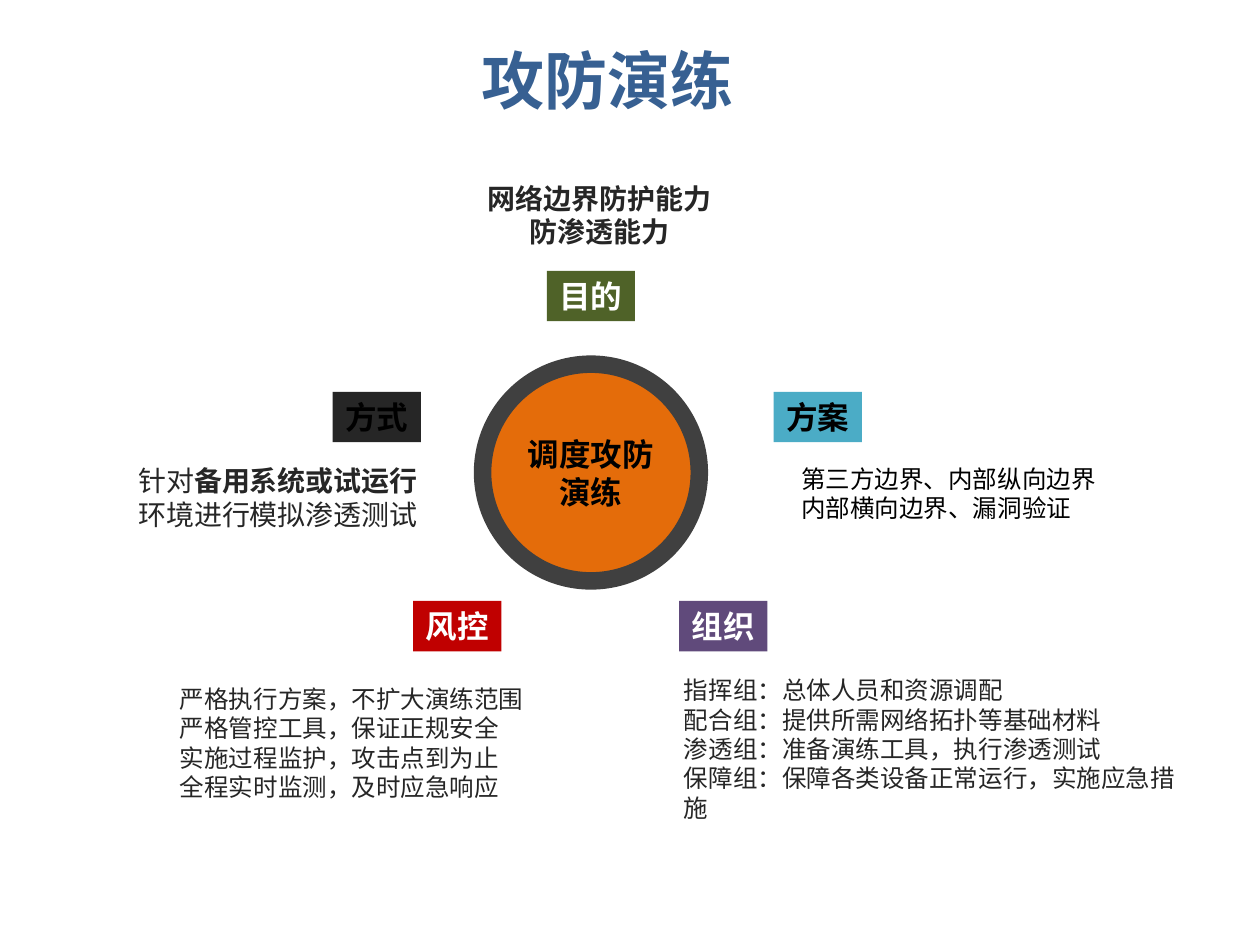
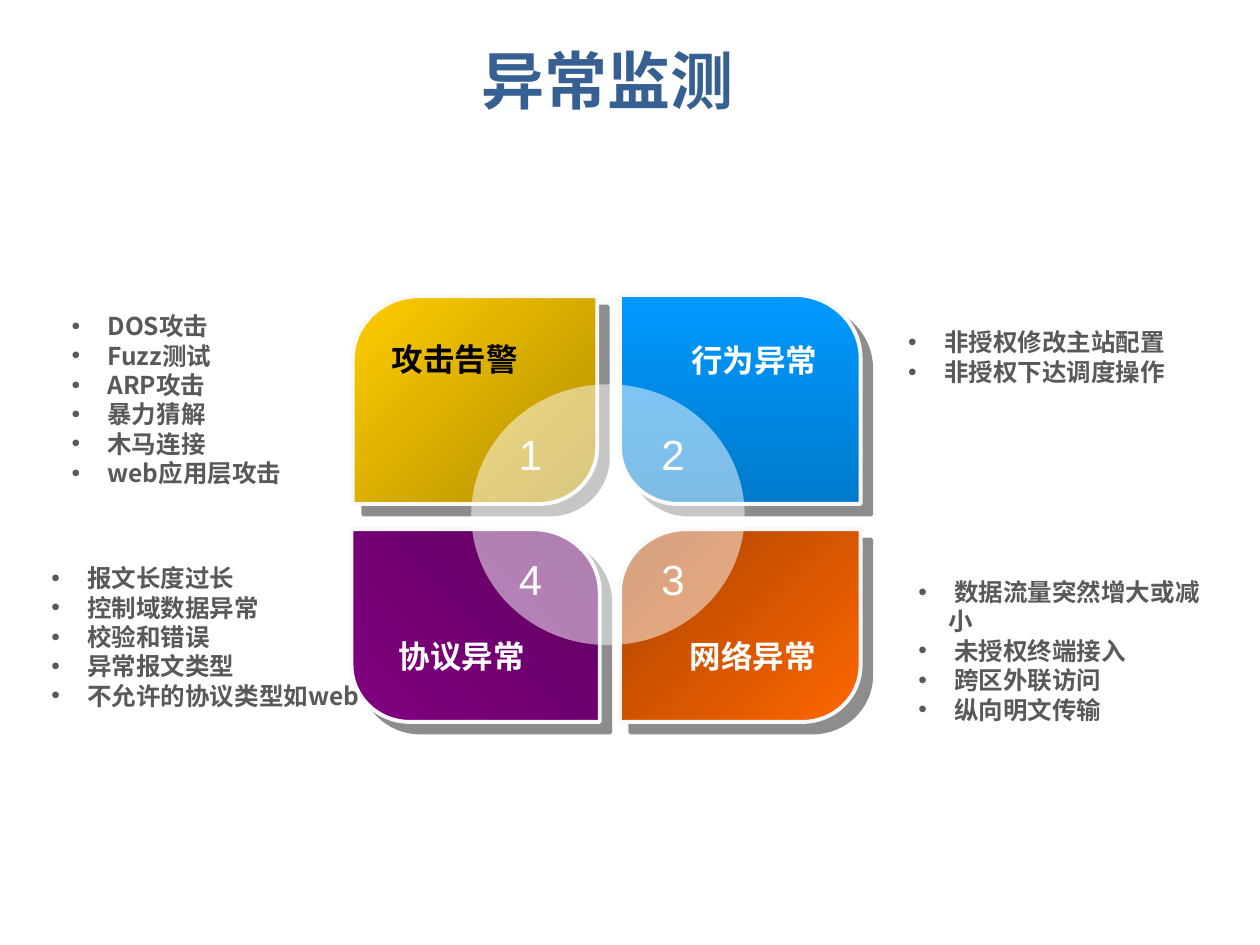
from itertools import product

from lxml import etree
from pptx import Presentation
from pptx import util as u
from pptx.dml.color import RGBColor
from pptx.enum import shapes, text
from pptx.oxml.ns import qn

PX = 9144  # 100 px to the inch
SANS, CALIBRI, ARIAL = "Noto Sans CJK SC", "Calibri", "Arial"
LEFT, CENTER = text.PP_ALIGN.LEFT, text.PP_ALIGN.CENTER

TITLE_BLUE = RGBColor(0x37, 0x60, 0x92)
BLACK = RGBColor(0, 0, 0)
WHITE = RGBColor(0xFF, 0xFF, 0xFF)
INK = RGBColor(0x26, 0x26, 0x26)
GREY = RGBColor(0x59, 0x59, 0x59)
RING = RGBColor(0x40, 0x40, 0x40)
ORANGE = RGBColor(0xE4, 0x6C, 0x0A)
GREEN = RGBColor(0x4F, 0x62, 0x28)
TEAL = RGBColor(0x4B, 0xAC, 0xC6)
RED = RGBColor(0xC0, 0, 0)
PURPLE = RGBColor(0x60, 0x4A, 0x7B)
EDGE = RGBColor(0xF8, 0xF8, 0xF8)
HALO = RGBColor(0xFE, 0xFF, 0xFF)
GOLD_DARK, GOLD = RGBColor(0xB2, 0x8E, 0), RGBColor(0xFF, 0xCC, 0)
SKY, SKY_DARK = RGBColor(0, 0x99, 0xFF), RGBColor(0, 0x7A, 0xCC)
PLUM, PLUM_DARK = RGBColor(0x80, 0, 0x80), RGBColor(0x61, 0, 0x61)
FLAME, FLAME_DARK = RGBColor(0xFF, 0x66, 0), RGBColor(0xA9, 0x44, 0)


def emu(box):
    return [round(length * PX) for length in box]


def shift(origin, box):
    """Move a box given relative to origin onto the page."""
    return (origin[0] + box[0], origin[1] + box[1], *box[2:])


def add_child(parent, tag, **attributes):
    return etree.SubElement(parent, qn(tag), attributes)


def add_bullet(props):
    props.set("marL", str(24 * PX))
    props.set("indent", str(-24 * PX))
    add_child(add_child(props, "a:buClr"), "a:srgbClr", val=str(GREY))
    add_child(props, "a:buFont", typeface=ARIAL)
    add_child(props, "a:buChar", char="•")


def write(shape, lines, size, color, bold=False, font=SANS, align=LEFT,
          wrap=True, middle=False, bullets=False):
    """Fill a shape with paragraphs; a line is a string or (text, bold) spans."""
    frame = shape.text_frame
    frame.word_wrap = wrap
    if middle:
        frame.vertical_anchor = text.MSO_ANCHOR.MIDDLE
    else:
        frame.vertical_anchor = text.MSO_ANCHOR.TOP
        frame.auto_size = text.MSO_AUTO_SIZE.SHAPE_TO_FIT_TEXT
    for index, line in enumerate(lines):
        para = frame.paragraphs[0] if index == 0 else frame.add_paragraph()
        spans = [(line, bold)] if isinstance(line, str) else line
        for words, is_bold in spans:
            span = para.add_run()
            span.text = words
            if is_bold != bold:
                span.font.bold = is_bold
        para.alignment = align
        props = para._p.get_or_add_pPr()
        if bullets:
            add_bullet(props)
        para.font.size = u.Pt(size)
        para.font.bold = bold
        para.font.color.rgb = color
        para.font.name = font
        add_child(props.find(qn("a:defRPr")), "a:ea", typeface=SANS)


def add_text(page, box, lines, size, color, **style):
    write(page.shapes.add_textbox(*emu(box)), lines, size, color, **style)


def add_solid(page, kind, box, fill):
    shape = page.shapes.add_shape(kind, *emu(box))
    shape.shadow.inherit = False
    shape.fill.solid()
    shape.fill.fore_color.rgb = fill
    shape.line.fill.background()
    return shape


def add_page(deck, title):
    page = deck.slides.add_slide(deck.slide_layouts[6])
    add_text(page, (125, 23, 714, 80), [title], 36, TITLE_BLUE,
             bold=True, align=CENTER, middle=True)
    return page


def draw_drill_wheel(page, origin):
    hub = add_solid(page, shapes.MSO_SHAPE.OVAL, shift(origin, (283, 150, 172, 172)), ORANGE)
    hub.line.color.rgb = RING
    hub.line.width = u.Pt(10)
    write(hub, ["调度攻防演练"], 18, BLACK, bold=True, align=CENTER, middle=True)

    tags = [
        ("目的", (334, 76), GREEN, WHITE),
        ("方式", (164, 172), INK, BLACK),
        ("方案", (514, 172), TEAL, BLACK),
        ("风控", (228, 338), RED, WHITE),
        ("组织", (439, 338), PURPLE, WHITE),
    ]
    for label, corner, fill, color in tags:
        tag = add_solid(page, shapes.MSO_SHAPE.RECTANGLE,
                        shift(origin, (*corner, 70, 40)), fill)
        write(tag, [label], 18, color, bold=True, wrap=False)

    notes = [
        ((433, 392, 429, 104), 14, INK, {"wrap": False},
         ["指挥组：总体人员和资源调配", "配合组：提供所需网络拓扑等基础材料",
          "渗透组：准备演练工具，执行渗透测试",
          "保障组：保障各类设备正常运行，实施应急措施"]),
        ((33, 399, 336, 104), 14, INK, {},
         ["严格执行方案，不扩大演练范围", "严格管控工具，保证正规安全",
          "实施过程监护，攻击点到为止", "全程实时监测，及时应急响应"]),
        ((0, 224, 243, 64), 16, INK, {},
         [[("针对", False), ("备用系统或试运行", True), ("环境进行模拟渗透测试", False)]]),
        ((258, 0, 236, 64), 16, INK, {"bold": True, "align": CENTER},
         ["网络边界防护能力", "防渗透能力"]),
        ((526, 224, 299, 57), 14, BLACK, {},
         ["第三方边界、内部纵向边界", "内部横向边界、漏洞验证"]),
    ]
    for box, size, color, style, lines in notes:
        add_text(page, shift(origin, box), lines, size, color, **style)


def bend(segment, start, corner, end):
    """Turn a straight path segment into a curve that leans into corner."""
    segment.tag = qn("a:cubicBezTo")
    segment.clear()
    pulls = [[round(p + 0.55 * (c - p)) for p, c in zip(point, corner)]
             for point in (start, end)]
    for x, y in (*pulls, end):
        add_child(segment, "a:pt", x=str(x), y=str(y))


def add_petal(page, box, mirrored, colors, angle):
    """Box rounded at top left and bottom right, or at the other two corners."""
    left, top, width, height = box

    def local(x, y):
        return emu((width - x if mirrored else x, y))

    points = [local(*point) for point in (
        (0, 50), (53, 0), (width, 0), (width, height - 45),
        (width - 46, height), (0, height))]
    builder = page.shapes.build_freeform(*points[0], scale=1.0)
    builder.add_line_segments(points[1:], close=True)
    petal = builder.convert_to_shape(*emu((left, top)))
    segments = list(petal._element.iter(qn("a:lnTo")))
    bend(segments[0], points[0], local(0, 0), points[1])
    bend(segments[3], points[3], local(width, height), points[4])

    petal.fill.gradient()
    petal.fill.gradient_angle = angle
    for stop, color, position in zip(petal.fill.gradient_stops, colors, (0, 1)):
        stop.color.rgb = color
        stop.position = position
    petal.line.color.rgb = EDGE
    petal.line.width = u.Pt(2.25)
    effects = add_child(petal._element.spPr, "a:effectLst")
    shadow = add_child(effects, "a:outerShdw", blurRad="0", dist=str(u.Pt(8.5)),
                       dir="2700000", algn="ctr", rotWithShape="0")
    tint = add_child(shadow, "a:srgbClr", val="1C1C1C")
    add_child(tint, "a:alpha", val="50000")


def draw_anomaly_petals(page, origin):
    petals = [
        ((249, 1, 194, 165), False, (GOLD_DARK, GOLD), 135),
        ((461, 0, 191, 166), True, (SKY, SKY_DARK), 270),
        ((248, 186, 197, 153), True, (PLUM, PLUM_DARK), 45),
        ((461, 186, 191, 153), False, (FLAME, FLAME_DARK), 135),
    ]
    for box, mirrored, colors, angle in petals:
        add_petal(page, shift(origin, box), mirrored, colors, angle)

    halo = add_solid(page, shapes.MSO_SHAPE.OVAL, shift(origin, (343, 71, 217, 207)), HALO)
    add_child(halo._element.spPr.find(qn("a:solidFill"))[0], "a:alpha", val="50000")

    labels = [
        ("协议异常", (249, 267, 173, 40), WHITE, CALIBRI),
        ("网络异常", (477, 267, 179, 40), WHITE, CALIBRI),
        ("行为异常", (461, 32, 213, 40), WHITE, CALIBRI),
        ("攻击告警", (270, 31, 120, 40), BLACK, SANS),
    ]
    for label, box, color, font in labels:
        add_text(page, shift(origin, box), [label], 18, color,
                 bold=True, font=font, align=CENTER)

    for number, (top, left) in zip("1243", product((101, 200), (371, 484))):
        add_text(page, shift(origin, (left, top, 38, 50)), [number], 24, WHITE,
                 font=ARIAL, wrap=False)

    symptoms = [
        ((680, 21, 227, 80), ["非授权修改主站配置", "非授权下达调度操作"]),
        ((0, 208, 266, 127),
         ["报文长度过长", "控制域数据异常", "校验和错误", "异常报文类型",
          "不允许的协议类型如web"]),
        ((688, 219, 250, 104),
         ["数据流量突然增大或减小", "未授权终端接入", "跨区外联访问", "纵向明文传输"]),
        ((16, 8, 195, 150),
         ["DOS攻击", "Fuzz测试", "ARP攻击", "暴力猜解", "木马连接", "web应用层攻击"]),
    ]
    for box, lines in symptoms:
        add_text(page, shift(origin, box), [f" {line}" for line in lines], 14, GREY,
                 bold=True, bullets=True)


def main():
    deck = Presentation()
    deck.slide_width, deck.slide_height = emu((1000, 750))
    draw_drill_wheel(add_page(deck, "攻防演练"), (100, 139))
    draw_anomaly_petals(add_page(deck, "异常监测"), (31, 234))
    deck.save("out.pptx")


if __name__ == "__main__":
    main()
